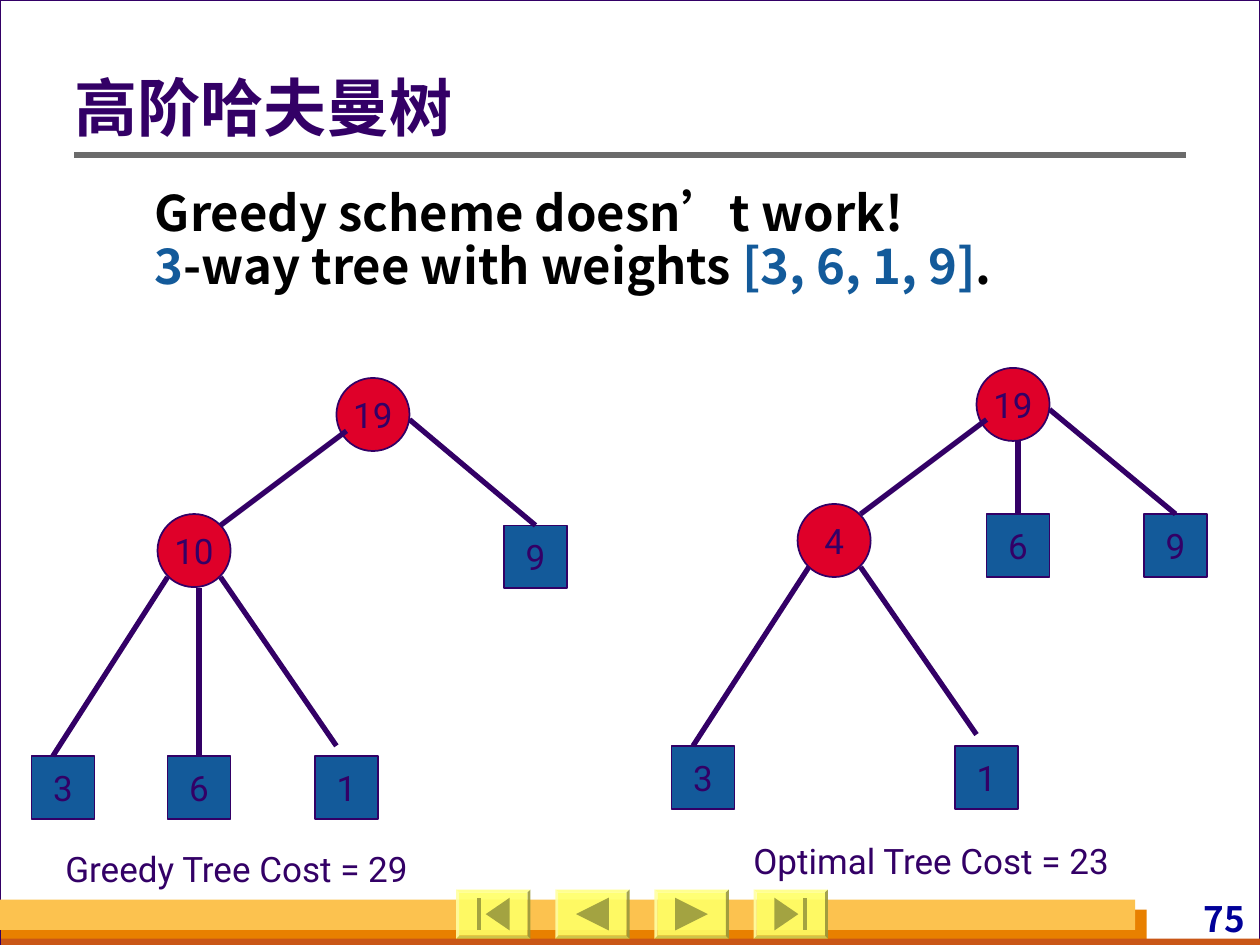
from lxml import etree
from pptx import Presentation
from pptx.dml.color import RGBColor
from pptx.enum.shapes import MSO_CONNECTOR, MSO_SHAPE
from pptx.enum.text import MSO_ANCHOR, PP_ALIGN
from pptx.oxml.ns import qn
from pptx.util import Inches, Pt

HEADING_FONT, LABEL_FONT = "Noto Sans CJK SC", "Roboto"
PURPLE, BLUE, RED, BLACK = "330066", "135A9A", "DF0029", "000000"
YELLOW, ICON = "FFFF66", "A3A341"
SQUARE, CIRCLE = 0.5, 0.58


def color(hex_value):
    return RGBColor.from_string(hex_value)


def style_shape(shape, fill, line=None, width=1):
    shape.shadow.inherit = False
    shape.fill.solid()
    shape.fill.fore_color.rgb = color(fill)
    if line:
        shape.line.color.rgb = color(line)
        shape.line.width = Pt(width)
    else:
        shape.line.fill.background()


def add_block(slide, kind, box, fill, line=None, width=1):
    shape = slide.shapes.add_shape(kind, *map(Inches, box))
    style_shape(shape, fill, line, width)
    return shape


def add_line(slide, start, end, line_color):
    line = slide.shapes.add_connector(
        MSO_CONNECTOR.STRAIGHT, *map(Inches, (*start, *end)))
    line.line.color.rgb = color(line_color)
    line.line.width = Pt(3)
    etree.SubElement(line._element.spPr, qn("a:effectLst"))
    return line


def write(paragraph, runs, size, font_name, bold=False):
    """Fill a paragraph with (text, colour) runs."""
    for text, hex_value in runs:
        run = paragraph.add_run()
        run.text = text
        run.font.color.rgb = color(hex_value)
        if font_name == HEADING_FONT:
            east_asian = etree.SubElement(run.font._element, qn("a:ea"))
            east_asian.set("typeface", font_name)
    paragraph.font.size = Pt(size)
    paragraph.font.name = font_name
    paragraph.font.bold = bold


def add_text_box(slide, box, insets, anchor=MSO_ANCHOR.TOP):
    frame = slide.shapes.add_textbox(*map(Inches, box)).text_frame
    frame.word_wrap = True
    frame.vertical_anchor = anchor
    (frame.margin_left, frame.margin_top,
     frame.margin_right, frame.margin_bottom) = map(Inches, insets)
    return frame


def add_icon(slide, points):
    start, *rest = [(Inches(x), Inches(y)) for x, y in points]
    builder = slide.shapes.build_freeform(*start)
    builder.add_line_segments(rest, close=True)
    style_shape(builder.convert_to_shape(), ICON)


def add_button(slide, box, direction, has_bar):
    """Bevelled button with an arrow to the left (-1) or right (1)."""
    left, top, width, height = box
    bevel = add_block(slide, MSO_SHAPE.BEVEL, box, YELLOW)
    bevel.adjustments[0] = 0.06
    fill_color = bevel._element.spPr.find(qn("a:solidFill"))[0]
    etree.SubElement(fill_color, qn("a:alpha")).set("val", "90000")
    center, middle = left + width / 2, top + height / 2
    tip, base = (0.06, -0.13) if has_bar else (0.13, -0.13)
    half = 0.13
    add_icon(slide, [(center + direction * tip, middle),
                     (center + direction * base, middle - half),
                     (center + direction * base, middle + half)])
    if has_bar:
        inner, outer = center + direction * 0.1, center + direction * 0.13
        add_icon(slide, [(inner, middle - half), (outer, middle - half),
                         (outer, middle + half), (inner, middle + half)])


def add_footer(slide, box):
    left, top, width, height = box
    # Coloured bands
    for offset_x, offset_y, band_width, band_height, fill in (
            (0.01, 0.16, 9.09, 0.28, "E88000"),
            (0.01, 0.39, 10, 0.08, "C95616"),
            (0, 0.08, 9.01, 0.24, "FCC24F")):
        add_block(slide, MSO_SHAPE.RECTANGLE,
                  (left + offset_x, top + offset_y, band_width, band_height), fill)
    # Page number
    frame = add_text_box(slide, (left + 8.86, top + 0.06, 1.06, 0.33), (0.04, 0, 0.04, 0))
    frame.paragraphs[0].alignment = PP_ALIGN.RIGHT
    write(frame.paragraphs[0], [("75", "000099")], 20, HEADING_FONT, True)
    # Navigation buttons
    buttons = ((-1, True), (-1, False), (1, False), (1, True))
    for index, (direction, has_bar) in enumerate(buttons):
        add_button(slide, (left + 3.62 + 0.787 * index, top, 0.59, 0.39),
                   direction, has_bar)


def add_header(slide, box):
    left, top, width, height = box
    frame = add_text_box(slide, box, (0, 0.05, 0.1, 0.05), MSO_ANCHOR.MIDDLE)
    frame.paragraphs[0].line_spacing = 0.9
    write(frame.paragraphs[0], [("高阶哈夫曼树", PURPLE)], 36, HEADING_FONT, True)
    add_line(slide, (left, top + 0.85), (left + width, top + 0.85), "6B6B6B")


def add_statement(slide, box):
    frame = add_text_box(slide, box, (0.48, 0, 0.1, 0.05))
    lines = (
        [("Greedy scheme doesn’t work!", BLACK)],
        [("3", BLUE), ("-way tree with weights ", BLACK),
         ("[3, 6, 1, 9]", BLUE), (".", BLACK)],
    )
    for index, runs in enumerate(lines):
        paragraph = frame.add_paragraph() if index else frame.paragraphs[0]
        paragraph.line_spacing = 0.9
        write(paragraph, runs, 28, HEADING_FONT, True)


def add_node(slide, kind, left, top, size, fill, text):
    node = add_block(slide, kind, (left, top, size, size), fill, PURPLE)
    frame = node.text_frame
    frame.margin_left = frame.margin_right = 0
    frame.margin_top = frame.margin_bottom = 0
    frame.word_wrap = False
    frame.vertical_anchor = MSO_ANCHOR.MIDDLE
    frame.paragraphs[0].alignment = PP_ALIGN.CENTER
    write(frame.paragraphs[0], [(text, PURPLE)], 20, LABEL_FONT)
    return node


def add_tree(slide, box, circles, squares, edges, caption):
    """Edges are (start, end, label of the square joined at its top or None)."""
    left, top, width, height = box
    for text, x, y in circles:
        add_node(slide, MSO_SHAPE.OVAL, left + x, top + y, CIRCLE, RED, text)
    leaves = {text: add_node(slide, MSO_SHAPE.RECTANGLE, left + x, top + y,
                             SQUARE, BLUE, text)
              for text, x, y in squares}
    for start, end, leaf in edges:
        line = add_line(slide, (left + start[0], top + start[1]),
                        (left + end[0], top + end[1]), PURPLE)
        if leaf:
            line.end_connect(leaves[leaf], 0)
    text, x, y = caption
    frame = add_text_box(slide, (left + x, top + y, 3.42, 0.44), (0.1, 0.05, 0.1, 0.05))
    write(frame.paragraphs[0], [(text, PURPLE)], 20, LABEL_FONT)


def main():
    presentation = Presentation()
    presentation.slide_width, presentation.slide_height = Inches(10), Inches(7.5)
    slide = presentation.slides.add_slide(presentation.slide_layouts[6])
    slide.background.fill.solid()
    slide.background.fill.fore_color.rgb = color("D8DADA")
    # Page frame
    add_block(slide, MSO_SHAPE.RECTANGLE, (0, 0, 10, 7.5), "FFFFFF", PURPLE, 0.75)
    add_footer(slide, (0, 7.06, 10, 0.44))
    add_header(slide, (0.59, 0.38, 8.82, 1.01))
    add_statement(slide, (0.75, 1.5, 8.5, 1.46))
    # Greedy tree
    add_tree(
        slide, (0.25, 3, 4.25, 4.12),
        circles=[("19", 2.42, 0), ("10", 1, 1.08)],
        squares=[("9", 3.75, 1.17), ("3", 0, 3), ("6", 1.08, 3), ("1", 2.25, 3)],
        edges=[((2.5, 0.42), (1.5, 1.17), None), ((3, 0.33), (4, 1.17), "9"),
               ((1.08, 1.58), (0.17, 3), None), ((1.5, 1.58), (2.42, 2.92), None),
               ((1.33, 1.67), (1.33, 3), "6")],
        caption=("Greedy Tree Cost = 29", 0.17, 3.68))
    # Optimal tree
    add_tree(
        slide, (5.33, 2.92, 4.25, 4.13),
        circles=[("19", 2.42, 0), ("4", 1, 1.08)],
        squares=[("6", 2.5, 1.16), ("9", 3.75, 1.16), ("3", 0, 3), ("1", 2.25, 3)],
        edges=[((2.5, 0.41), (1.5, 1.16), None), ((3, 0.33), (4, 1.16), "9"),
               ((2.75, 0.58), (2.75, 1.16), "6"),
               ((1.09, 1.58), (0.17, 3), None), ((1.5, 1.58), (2.42, 2.91), None)],
        caption=("Optimal Tree Cost = 23", 0.55, 3.69))
    presentation.save("out.pptx")


if __name__ == "__main__":
    main()
